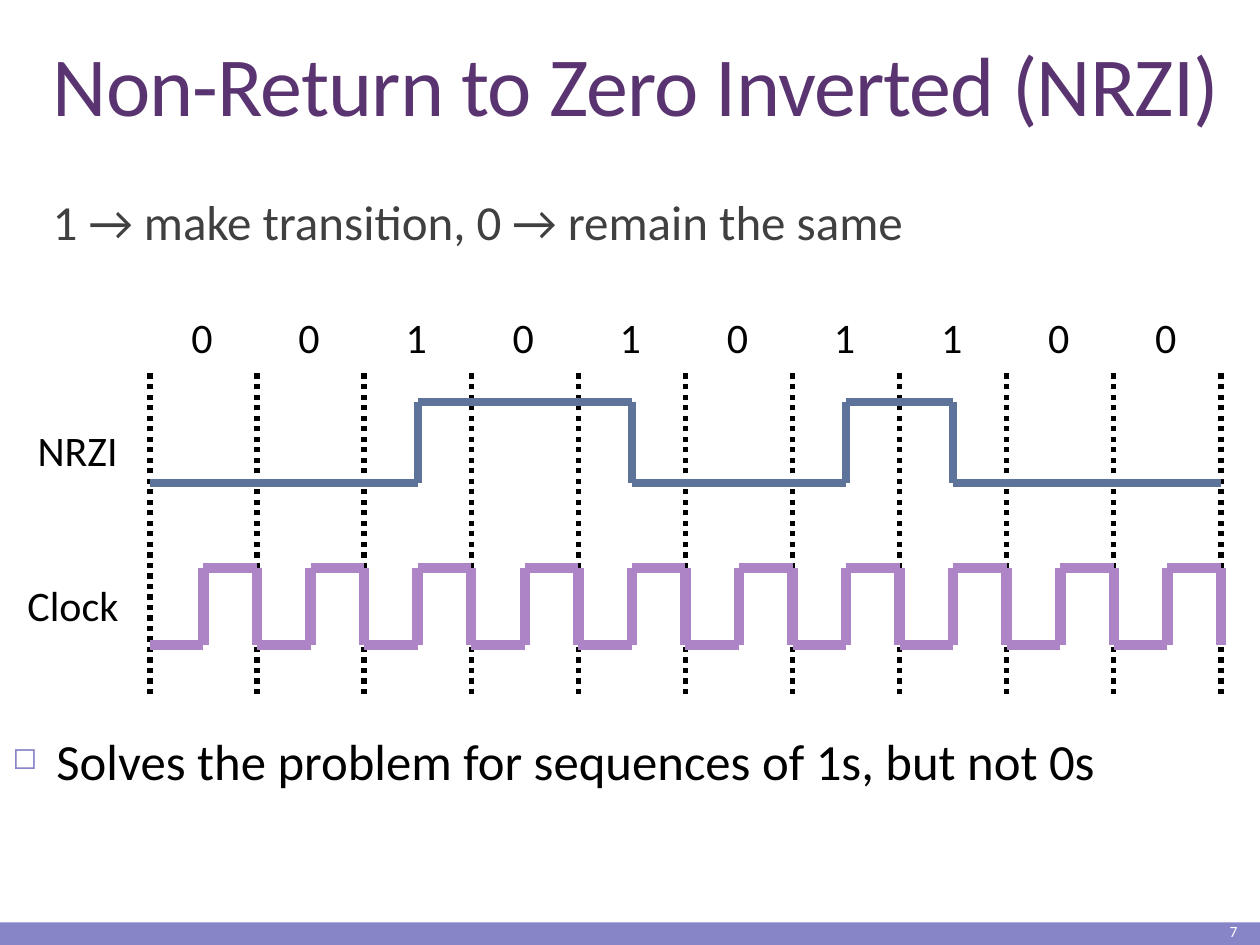
from itertools import pairwise

from lxml import etree
from pptx import Presentation
from pptx.dml.color import RGBColor
from pptx.enum.dml import MSO_LINE
from pptx.enum.shapes import MSO_CONNECTOR, MSO_SHAPE
from pptx.enum.text import MSO_ANCHOR, PP_ALIGN
from pptx.oxml.ns import qn
from pptx.util import Inches, Pt

STRAIGHT = MSO_CONNECTOR.STRAIGHT
RECT = MSO_SHAPE.RECTANGLE
DOTTED = MSO_LINE.ROUND_DOT  # written as sysDot
TOP, MIDDLE, BOTTOM = MSO_ANCHOR.TOP, MSO_ANCHOR.MIDDLE, MSO_ANCHOR.BOTTOM
LEFT, RIGHT = PP_ALIGN.LEFT, PP_ALIGN.RIGHT

TITLE = "Non-Return to Zero Inverted (NRZI)"
RULE = "1 → make transition, 0 → remain the same"
CONCLUSION = "Solves the problem for sequences of 1s, but not 0s"
BITS = "0010101100"
SIGNAL_LABELS = [("Clock", 0.12, 4.55, 0.93), ("NRZI", 0.2, 3.32, 0.84)]

FONT = "Calibri"
BLACK, WHITE, GRAY = "000000", "FFFFFF", "404040"
PURPLE, BAR, CLOCK, NRZI = "5A3471", "8784C7", "AD84C6", "5D739A"

WIDTH, HEIGHT = 10, 7.5
GRID_X, BIT_W = 1.19, 0.85
GRID_TOP, GRID_BOTTOM = 2.93, 5.51
NRZI_LEVELS = (3.83, 3.19)   # low, high
CLOCK_LEVELS = (5.12, 4.51)


def rgb(value):
    return RGBColor.from_string(value)


def add_text(slide, text, box, size, color, anchor=TOP, align=LEFT, wrap=True):
    """Add a one-paragraph text box and return its paragraph."""
    tf = slide.shapes.add_textbox(*map(Inches, box)).text_frame
    tf.word_wrap = wrap
    tf.vertical_anchor = anchor
    p = tf.paragraphs[0]
    p.text = text
    p.alignment = align
    font = p.runs[0].font
    font.name, font.size = FONT, Pt(size)
    font.color.rgb = rgb(color)
    return p


def add_bullet(p, char, color, percent, indent):
    pPr = p._p.get_or_add_pPr()
    pPr.set("marL", str(Inches(indent)))
    pPr.set("indent", str(-Inches(indent)))
    clr = etree.SubElement(pPr, qn("a:buClr"))
    etree.SubElement(clr, qn("a:srgbClr"), val=color)
    etree.SubElement(pPr, qn("a:buSzPct"), val=str(percent * 1000))
    etree.SubElement(pPr, qn("a:buChar"), char=char)


def add_line(slide, start, end, color, width, dash=None):
    line = slide.shapes.add_connector(STRAIGHT, *map(Inches, (*start, *end)))
    line.line.color.rgb = rgb(color)
    line.line.width = Pt(width)
    if dash:
        line.line.dash_style = dash
    etree.SubElement(line._element.spPr, qn("a:effectLst"))


def add_wave(slide, points, color, width):
    for start, end in pairwise(points):
        add_line(slide, start, end, color, width)


def edge(i):
    """Return the x of bit boundary i; halves are bit centres."""
    return GRID_X + i * BIT_W


def clock_points():
    low, high = CLOCK_LEVELS
    points = [(edge(0), low)]
    for i in range(len(BITS)):
        rise, fall = edge(i + 0.5), edge(i + 1)
        points += [(rise, low), (rise, high), (fall, high), (fall, low)]
    return points


def nrzi_points():
    """Switch level in the middle of every 1 bit."""
    level = 0
    points = [(edge(0), NRZI_LEVELS[level])]
    for i, bit in enumerate(BITS):
        if bit == "1":
            x = edge(i + 0.5)
            points += [(x, NRZI_LEVELS[level]), (x, NRZI_LEVELS[1 - level])]
            level = 1 - level
    return points + [(edge(len(BITS)), NRZI_LEVELS[level])]


def main():
    prs = Presentation()
    prs.slide_width, prs.slide_height = Inches(WIDTH), Inches(HEIGHT)
    slide = prs.slides.add_slide(prs.slide_layouts[6])

    bar = slide.shapes.add_shape(RECT, *map(Inches, (0, 7.32, WIDTH, 0.18)))
    bar.shadow.inherit = False
    bar.fill.solid()
    bar.fill.fore_color.rgb = rgb(BAR)
    bar.line.fill.background()

    p = add_text(slide, TITLE, (0.32, 0.31, 9.48, 0.8), 48, PURPLE, BOTTOM)
    p.line_spacing = 0.85
    p.runs[0]._r.get_or_add_rPr().set("spc", "-50")

    p = add_text(slide, RULE, (0.32, 1.52, 9.48, 5.24), 28, GRAY)
    p.line_spacing = 0.9
    p.space_before, p.space_after = Pt(12), Pt(2)

    add_text(slide, "7", (8.84, 7.28, 1.08, 0.22), 8.9, WHITE, MIDDLE, RIGHT)

    for i in range(len(BITS) + 1):
        add_line(slide, (edge(i), GRID_BOTTOM), (edge(i), GRID_TOP), BLACK, 3, DOTTED)
    add_wave(slide, clock_points(), CLOCK, 6)
    add_wave(slide, nrzi_points(), NRZI, 4.5)

    for text, x, y, w in SIGNAL_LABELS:
        add_text(slide, text, (x, y, w, 0.5), 24, BLACK, wrap=False)
    bit_box = 0.39
    for i, bit in enumerate(BITS):
        x = edge(i + 0.5) - bit_box / 2
        add_text(slide, bit, (x, 2.42, bit_box, 0.5), 24, BLACK, wrap=False)

    p = add_text(slide, CONCLUSION, (0, 5.74, WIDTH, 0.67), 29, BLACK)
    p.space_before = Pt(7)
    add_bullet(p, "◻", BAR, 60, 0.35)

    prs.save("out.pptx")


if __name__ == "__main__":
    main()
